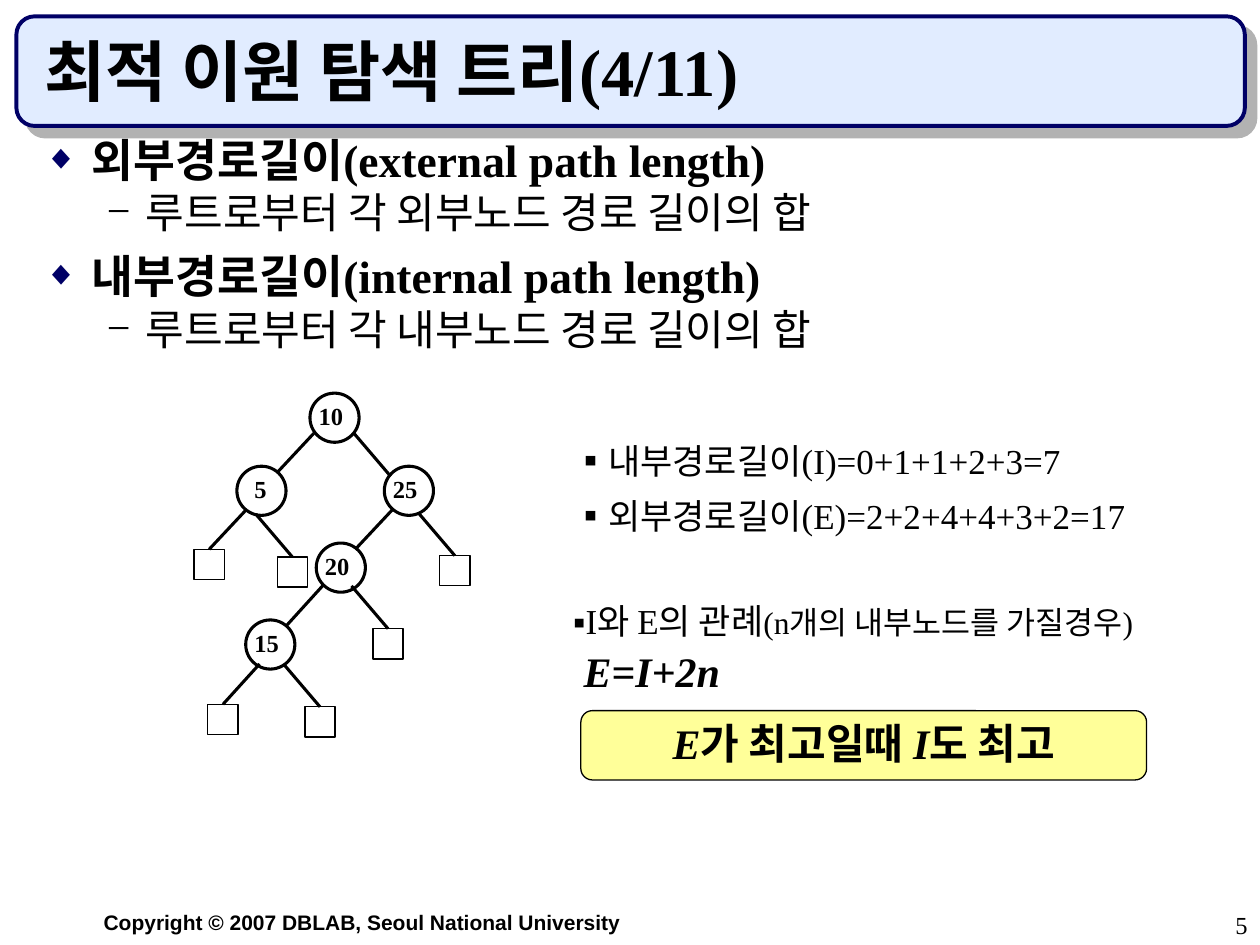
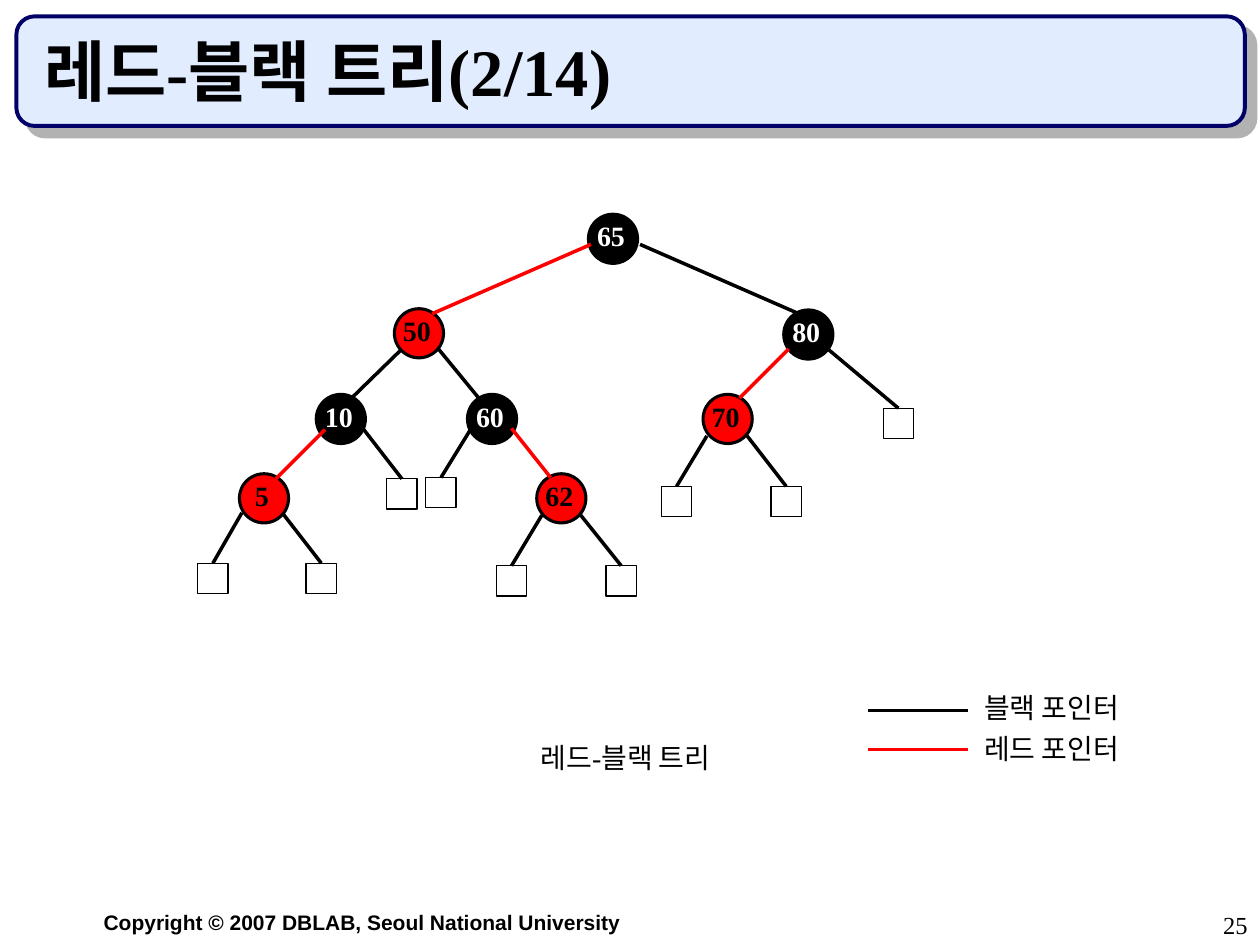
from lxml import etree
from pptx import Presentation
from pptx.dml.color import RGBColor
from pptx.enum import shapes, text
from pptx.oxml import ns
from pptx.util import Inches, Pt

BLACK = RGBColor(0, 0, 0)
WHITE = RGBColor(255, 255, 255)
RED = RGBColor(255, 0, 0)
NAVY = RGBColor(0, 0, 0x66)
PALE_BLUE = RGBColor(0xE1, 0xEC, 0xFF)
PALE_YELLOW = RGBColor(0xFF, 0xFF, 0x99)
SHADOW_GREY = RGBColor(0xB2, 0xB2, 0xB2)
SERIF, SANS = "Times New Roman", "Arial"
LEFT, CENTER, RIGHT, JUSTIFY = (
    text.PP_ALIGN.LEFT, text.PP_ALIGN.CENTER, text.PP_ALIGN.RIGHT, text.PP_ALIGN.JUSTIFY)
OVAL, SQUARE, ROUNDED = (
    shapes.MSO_SHAPE.OVAL, shapes.MSO_SHAPE.RECTANGLE, shapes.MSO_SHAPE.ROUNDED_RECTANGLE)
NODE_SIZE, LEAF_SIZE = 0.39, 0.24


def write(frame, paragraphs, size, align=JUSTIFY, spacing=0.8, before=0, color=BLACK, bold=False):
    """Fill a text frame; a paragraph is a list of (words, font overrides)."""
    frame.word_wrap = True
    frame.auto_size = text.MSO_AUTO_SIZE.NONE
    frame.margin_left = frame.margin_right = Inches(0.1)
    frame.margin_top = frame.margin_bottom = Inches(0.05)
    for index, runs in enumerate(paragraphs):
        para = frame.add_paragraph() if index else frame.paragraphs[0]
        para.alignment = align
        para.line_spacing = spacing
        para.space_before = Pt(before if index else 0)
        for words, style in runs:
            span = para.add_run()
            span.text = words
            span.font.name = style.get("font", SERIF)
            span.font.size = Pt(style.get("size", size))
            span.font.bold = style.get("bold", bold)
            span.font.italic = style.get("italic", False)
            span.font.color.rgb = color
    return frame


def draw(page, kind, at, fill=None, line=BLACK, width=0.75):
    """Add an outlined preset shape without a theme shadow."""
    shape = page.shapes.add_shape(kind, *map(Inches, at))
    shape.shadow.inherit = False
    if fill is None:
        shape.fill.background()
    else:
        shape.fill.solid()
        shape.fill.fore_color.rgb = fill
    shape.line.color.rgb = line
    shape.line.width = Pt(width)
    return shape


# Trees: nodes are (label, left, top, fill, label shift),
# edges are (x1, y1, x2, y2, colour, whether an external node hangs at the end)
path_tree = {
    "size": 14, "label": (-0.03, 0.06, 0.47, 0.29), "width": 1.75,
    "nodes": [
        ("10", 2.46, 3.12, None, 0), ("5", 1.88, 3.70, None, 0.07),
        ("25", 3.05, 3.70, None, 0), ("20", 2.51, 4.31, None, 0),
        ("15", 1.95, 4.92, None, 0)],
    "edges": [
        (2.81, 3.44, 3.10, 3.78, BLACK, False), (2.49, 3.44, 2.20, 3.75, BLACK, False),
        (3.11, 4.05, 2.82, 4.36, BLACK, False), (2.56, 4.65, 2.27, 4.97, BLACK, False),
        (3.32, 4.07, 3.61, 4.41, BLACK, True), (2.79, 4.65, 3.08, 4.99, BLACK, True),
        (2.03, 4.08, 2.32, 4.42, BLACK, True), (1.95, 4.05, 1.66, 4.36, BLACK, True),
        (2.25, 5.27, 2.54, 5.61, BLACK, True), (2.06, 5.27, 1.77, 5.59, BLACK, True)],
}
red_black_tree = {
    "size": 16, "label": (-0.03, 0.04, 0.53, 0.32), "width": 2,
    "nodes": [
        ("65", 4.67, 1.70, BLACK, 0), ("80", 6.22, 2.46, BLACK, 0),
        ("70", 5.58, 3.13, RED, 0), ("62", 4.26, 3.76, RED, 0),
        ("60", 3.71, 3.13, BLACK, 0), ("50", 3.13, 2.45, RED, 0),
        ("10", 2.51, 3.13, BLACK, 0), (" 5", 1.90, 3.76, RED, 0)],
    "edges": [
        (4.69, 1.94, 3.43, 2.49, RED, False), (5.08, 1.94, 6.34, 2.49, BLACK, False),
        (6.26, 2.77, 5.87, 3.16, RED, False), (6.57, 2.77, 7.13, 3.24, BLACK, True),
        (4.06, 3.40, 4.37, 3.79, RED, False), (3.74, 3.40, 3.50, 3.79, BLACK, True),
        (3.19, 2.77, 2.79, 3.16, BLACK, False), (3.48, 2.77, 3.80, 3.16, BLACK, False),
        (2.58, 3.41, 2.19, 3.80, RED, False), (2.88, 3.40, 3.19, 3.80, BLACK, True),
        (5.93, 3.46, 6.24, 3.86, BLACK, True), (5.61, 3.46, 5.37, 3.86, BLACK, True),
        (4.61, 4.09, 4.93, 4.49, BLACK, True), (4.30, 4.09, 4.06, 4.49, BLACK, True),
        (2.24, 4.07, 2.55, 4.47, BLACK, True), (1.92, 4.07, 1.69, 4.47, BLACK, True),
        # Legend lines
        (6.89, 5.64, 7.68, 5.64, BLACK, False), (6.89, 5.95, 7.68, 5.95, RED, False)],
}

deck = Presentation()
deck.slide_width, deck.slide_height = Inches(10), Inches(7.5)

# Title band, footer, page number and tree of each slide
pages = []
for heading, number, tree in [
        ("최적 이원 탐색 트리(4/11)", "5", path_tree),
        ("레드-블랙 트리(2/14)", "25", red_black_tree)]:
    page = deck.slides.add_slide(deck.slide_layouts[5])
    pages.append(page)

    band = draw(page, ROUNDED, (0.13, 0.13, 9.75, 0.87), PALE_BLUE, NAVY, 2.25)
    effects = band.element.spPr.find(ns.qn("a:effectLst"))
    shadow = etree.SubElement(effects, ns.qn("a:outerShdw"), dist=str(Pt(8.5)),
                              dir="2700000", algn="ctr", rotWithShape="0")
    etree.SubElement(shadow, ns.qn("a:srgbClr"), val=str(SHADOW_GREY))

    title = page.shapes.title
    title.element.getparent().append(title.element)  # in front of the band
    title.left, title.top, title.width, title.height = map(Inches, (0.25, 0.25, 9.42, 0.67))
    write(title.text_frame, [[(heading, {})]], 38, LEFT, 1.0, bold=True)
    title.text_frame.vertical_anchor = text.MSO_ANCHOR.BOTTOM

    footer = page.shapes.add_textbox(*map(Inches, (0.25, 7.17, 5.25, 0.3)))
    write(footer.text_frame, [[("Copyright © 2007 DBLAB, Seoul National University",
                                {"font": SANS})]], 12, CENTER, 1.0, bold=True)
    page_number = page.shapes.add_textbox(*map(Inches, (7.92, 7.17, 2.08, 0.33)))
    write(page_number.text_frame, [[(number, {})]], 14, RIGHT, 1.0)

    dx, dy, label_width, label_height = tree["label"]
    for key, left, top, fill, shift in tree["nodes"]:
        draw(page, OVAL, (left, top, NODE_SIZE, NODE_SIZE), fill, BLACK, 1.75)
        label = page.shapes.add_textbox(
            *map(Inches, (left + dx + shift, top + dy, label_width, label_height)))
        write(label.text_frame, [[(key, {})]], tree["size"], bold=True,
              color=WHITE if fill == BLACK else BLACK)

    for x1, y1, x2, y2, color, has_leaf in tree["edges"]:
        edge = page.shapes.add_connector(
            shapes.MSO_CONNECTOR.STRAIGHT, *map(Inches, (x1, y1, x2, y2)))
        edge.line.color.rgb = color
        edge.line.width = Pt(tree["width"])
        etree.SubElement(edge.element.spPr, ns.qn("a:effectLst"))
        if has_leaf:
            draw(page, SQUARE, (x2 - LEAF_SIZE / 2, y2, LEAF_SIZE, LEAF_SIZE))

path_page, red_black_page = pages

# Definitions of the two path lengths
body = path_page.shapes.add_textbox(*map(Inches, (0.25, 1.08, 9.42, 5.83)))
write(body.text_frame, [
    [("외부경로길이(external path length)", {"size": 26, "bold": True})],
    [("루트로부터 각 외부노드 경로 길이의 합", {})],
    [("내부경로길이(internal path length)", {"size": 26, "bold": True})],
    [("루트로부터 각 내부노드 경로 길이의 합", {})]], 24, LEFT, before=6)
for index, para in enumerate(body.text_frame.paragraphs):
    is_detail = index % 2 == 1
    para.level = int(is_detail)
    if index == 2:
        para.line_spacing = 1.0
        para.space_before = Pt(6.5)
    margin, hanging, mark, mark_color, percent = (
        (0.81, 0.31, "−", BLACK, 100) if is_detail else (0.38, 0.38, "◆", NAVY, 75))
    props = para._p.get_or_add_pPr()
    props.set("marL", str(Inches(margin)))
    props.set("indent", str(-Inches(hanging)))
    bullet_color = etree.SubElement(props, ns.qn("a:buClr"))
    etree.SubElement(bullet_color, ns.qn("a:srgbClr"), val=str(mark_color))
    etree.SubElement(props, ns.qn("a:buSzPct"), val=str(percent * 1000))
    etree.SubElement(props, ns.qn("a:buFont"), typeface=SERIF)
    etree.SubElement(props, ns.qn("a:buChar"), char=mark)

# Path lengths of this tree and how they relate
square_mark = ("▪", {"font": SANS})
lengths = path_page.shapes.add_textbox(*map(Inches, (4.45, 3.5, 4.96, 0.81)))
write(lengths.text_frame, [
    [square_mark, ("내부경로길이(I)=0+1+1+2+3=7", {})],
    [square_mark, ("외부경로길이(E)=2+2+4+4+3+2=17", {})]], 20, before=12.5)
relation = path_page.shapes.add_textbox(*map(Inches, (4.45, 4.77, 5.2, 0.78)))
write(relation.text_frame, [
    [square_mark, ("I와 E의 관례", {}), ("(n개의 내부노드를 가질경우)", {"size": 18})],
    [(" E=I+2n", {"size": 24, "bold": True, "italic": True})]], 20, before=15)
relation.text_frame.paragraphs[1].line_spacing = 0.5

# Conclusion
draw(path_page, ROUNDED, (4.61, 5.64, 4.49, 0.55), PALE_YELLOW)
conclusion = path_page.shapes.add_textbox(*map(Inches, (4.61, 5.72, 4.49, 0.42)))
write(conclusion.text_frame, [[
    ("E", {"italic": True}), ("가 최고일때 ", {}),
    ("I", {"italic": True}), ("도 최고", {})]], 24, CENTER, bold=True)

# Caption and legend of the red-black tree
for words, at in [
        ("레드-블랙 트리", (3.98, 5.88, 1.97, 0.32)),
        ("레드 포인터", (7.6, 5.81, 1.49, 0.32)),
        ("블랙 포인터", (7.6, 5.48, 1.49, 0.32))]:
    caption = red_black_page.shapes.add_textbox(*map(Inches, at))
    write(caption.text_frame, [[(words, {})]], 16, CENTER)

deck.save("out.pptx")
